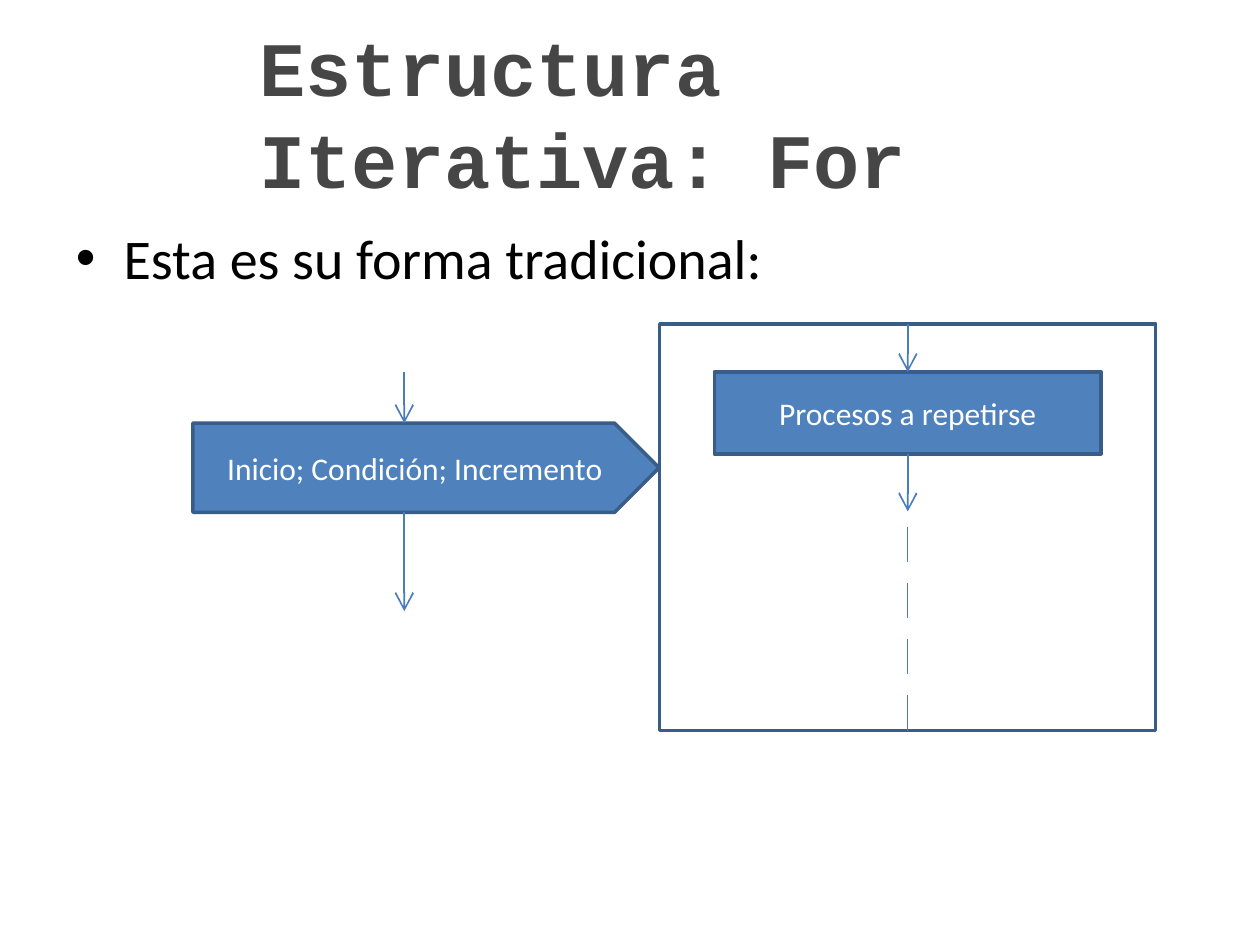
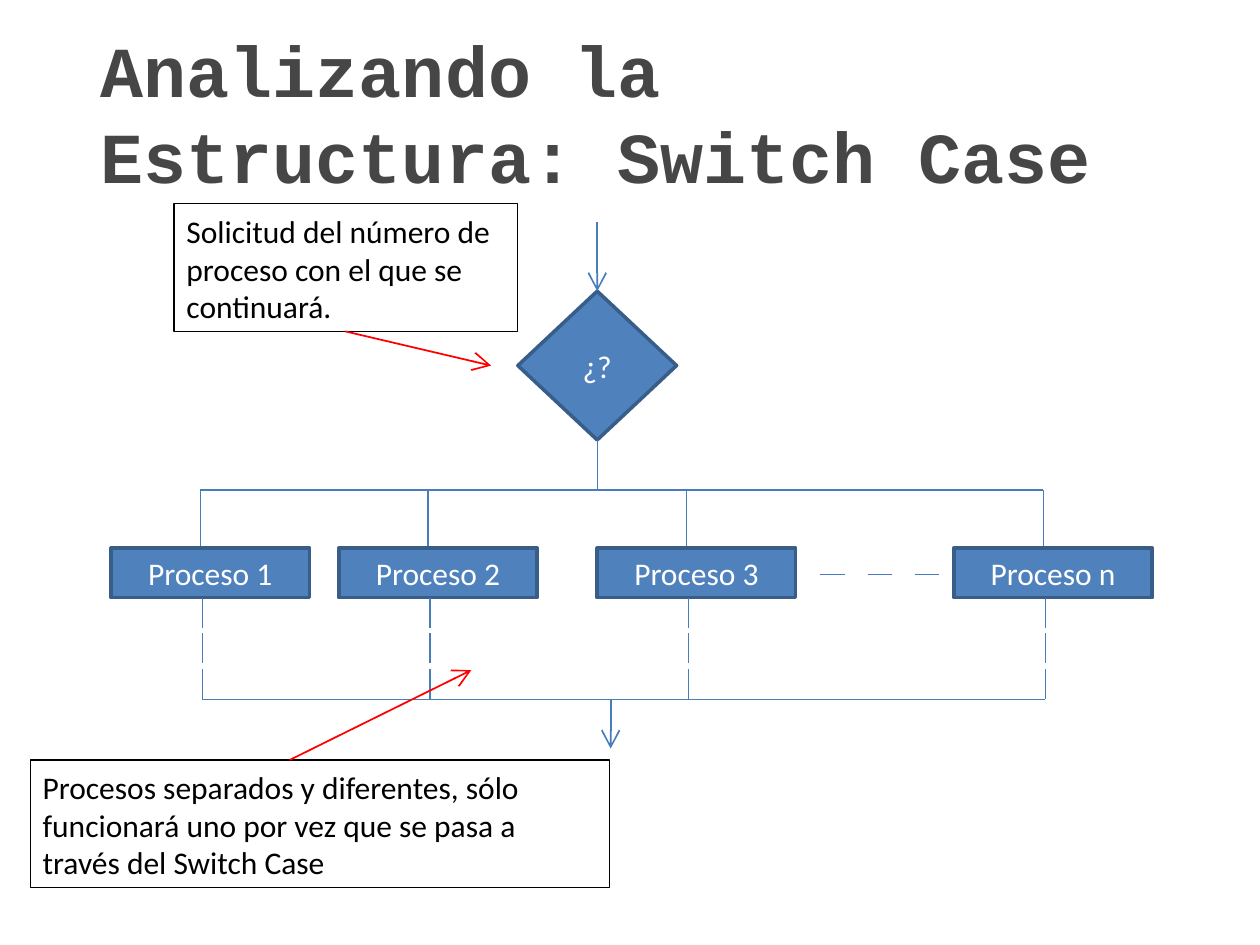
from dataclasses import dataclass

from lxml import etree
from pptx import Presentation
from pptx.dml.color import RGBColor
from pptx.enum.shapes import MSO_CONNECTOR, MSO_SHAPE
from pptx.enum.text import MSO_ANCHOR, MSO_AUTO_SIZE, PP_ALIGN
from pptx.oxml.ns import qn
from pptx.util import Cm, Pt

RECT, PENTAGON, DIAMOND = MSO_SHAPE.RECTANGLE, MSO_SHAPE.PENTAGON, MSO_SHAPE.DIAMOND
STRAIGHT = MSO_CONNECTOR.STRAIGHT
TOP, MIDDLE = MSO_ANCHOR.TOP, MSO_ANCHOR.MIDDLE
LEFT, CENTER = PP_ALIGN.LEFT, PP_ALIGN.CENTER
GROW = MSO_AUTO_SIZE.SHAPE_TO_FIT_TEXT

COLORS = {
    "title": "464646", "text": "000000", "white": "FFFFFF",
    "fill": "4F81BC", "edge": "385D89", "flow": "497DBA", "callout": "FF0000",
}
TITLE_FONT, BODY_FONT = "Courier New", "Calibri"
TITLE_AND_CONTENT, TITLE_ONLY = 1, 5


@dataclass
class Box:
    """A rectangle on the slide, in centimetres."""
    x: float
    y: float
    w: float
    h: float

    @property
    def cx(self) -> float:
        """Horizontal centre."""
        return self.x + self.w / 2

    @property
    def bottom(self) -> float:
        """Lower edge."""
        return self.y + self.h

    def lengths(self) -> list:
        """Left, top, width and height as lengths."""
        return [Cm(v) for v in (self.x, self.y, self.w, self.h)]


@dataclass
class Note:
    """A black-framed remark and the point its red arrow aims at."""
    text: str
    box: Box
    right_inset: float
    start: tuple
    target: tuple


def rgb(name: str) -> RGBColor:
    """Look up a colour of the palette."""
    return RGBColor.from_string(COLORS[name])


def style_paragraph(p, font: str, size: float, color: str, align=LEFT, bold=False) -> None:
    """Set font and alignment of a paragraph."""
    p.alignment = align
    p.font.name, p.font.size, p.font.bold = font, Pt(size), bold
    p.font.color.rgb = rgb(color)


def set_margins(tf, left: float = 0, top: float = 0, right: float = 0) -> None:
    """Set the insets of a text frame; the bottom one is always zero."""
    tf.margin_left, tf.margin_top, tf.margin_right = Cm(left), Cm(top), Cm(right)
    tf.margin_bottom = 0


def fill_placeholder(ph, text: str, box: Box, anchor):
    """Place a template placeholder, fill it and return its paragraph."""
    ph.left, ph.top, ph.width, ph.height = box.lengths()
    tf = ph.text_frame
    tf.text = text
    tf.word_wrap, tf.auto_size, tf.vertical_anchor = True, GROW, anchor
    set_margins(tf, top=0.03)
    p = tf.paragraphs[0]
    p.space_before = Pt(1)
    return p


def add_slide(prs, layout: int, title: str, box: Box, size: float):
    """Add a slide with the shared title style."""
    s = prs.slides.add_slide(prs.slide_layouts[layout])
    p = fill_placeholder(s.shapes.title, title, box, MIDDLE)
    style_paragraph(p, TITLE_FONT, size, "title", bold=True)
    return s


def add_block(s, kind, box: Box, text: str = "", fill: str = "fill",
              edge: str = "edge", width: float = 2):
    """Draw a flowchart shape with centred white text; an empty fill means none."""
    sp = s.shapes.add_shape(kind, *box.lengths())
    sp.shadow.inherit = False
    if fill:
        sp.fill.solid()
        sp.fill.fore_color.rgb = rgb(fill)
    else:
        sp.fill.background()
    sp.line.color.rgb, sp.line.width = rgb(edge), Pt(width)
    if text:
        tf = sp.text_frame
        tf.text, tf.word_wrap, tf.vertical_anchor = text, True, MIDDLE
        set_margins(tf)
        style_paragraph(tf.paragraphs[0], BODY_FONT, 18, "white", CENTER)
    return sp


def add_line(s, start: tuple, end: tuple, color: str = "flow", arrow: bool = False) -> None:
    """Draw a straight line, with an open arrowhead at its end if asked."""
    c = s.shapes.add_connector(STRAIGHT, *(Cm(v) for v in start + end))
    c.line.color.rgb, c.line.width = rgb(color), Pt(1 if arrow else 0.75)
    if arrow:
        etree.SubElement(c.line._get_or_add_ln(), qn("a:tailEnd"),
                         type="arrow", w="lg", len="lg")
    etree.SubElement(c._element.spPr, qn("a:effectLst"))


def add_arrow_down(s, x: float, top: float, bottom: float) -> None:
    """Draw a vertical flow arrow."""
    add_line(s, (x, top), (x, bottom), arrow=True)


def add_dashes(s, x: float, y: float, count: int, pitch: float, length: float,
               vertical: bool = True) -> None:
    """Draw a row of equal dashes as separate lines."""
    for i in range(count):
        if vertical:
            add_line(s, (x, y + i * pitch), (x, y + i * pitch + length))
        else:
            add_line(s, (x + i * pitch, y), (x + i * pitch + length, y))


def add_note(s, note: Note) -> None:
    """Draw a framed remark with its red arrow."""
    sp = add_block(s, RECT, note.box, note.text, fill="", edge="text", width=0.75)
    tf = sp.text_frame
    tf.vertical_anchor = TOP
    set_margins(tf, left=0.25, top=0.16, right=note.right_inset)
    style_paragraph(tf.paragraphs[0], BODY_FONT, 18, "text")
    add_line(s, note.start, note.target, "callout", arrow=True)


def build_for_slide(prs) -> None:
    """Flowchart of the for loop."""
    s = add_slide(prs, TITLE_AND_CONTENT, "Estructura Iterativa: For",
                  Box(5.23, 1.27, 14.94, 1.93), 44)
    p = fill_placeholder(s.placeholders[1], "Esta es su forma tradicional:",
                         Box(1.5, 4.47, 13.89, 1.42), TOP)
    style_paragraph(p, BODY_FONT, 32, "text")
    pPr = p._p.get_or_add_pPr()
    pPr.set("marL", str(Cm(0.99)))
    pPr.set("indent", str(Cm(-0.96)))

    header = Box(3.89, 8.53, 9.4, 1.8)
    frame = Box(13.3, 6.53, 10, 8.2)
    process = Box(14.4, 7.5, 7.8, 1.65)
    add_block(s, PENTAGON, header, "Inicio; Condición; Incremento")
    add_block(s, RECT, frame, fill="")
    add_block(s, RECT, process, "Procesos a repetirse")

    flow_x = 8.15
    add_arrow_down(s, flow_x, process.y, header.y)
    add_arrow_down(s, flow_x, header.bottom, 12.32)
    add_arrow_down(s, frame.cx, frame.y, process.y)
    add_arrow_down(s, frame.cx, process.bottom, 10.31)
    first, dash, count = 10.62, 0.71, 4
    pitch = (frame.bottom - dash - first) / (count - 1)
    add_dashes(s, frame.cx, first, count, pitch, dash)


def build_switch_slide(prs) -> None:
    """Flowchart of the switch case."""
    s = add_slide(prs, TITLE_ONLY, "Analizando la Estructura: Switch Case",
                  Box(2.03, 1.37, 21.34, 1.75), 41)
    decision = Box(10.44, 5.87, 3.2, 3)
    add_block(s, DIAMOND, decision, "¿?")
    add_arrow_down(s, decision.cx, 4.47, decision.y)

    split_y, join_y = 9.88, 14.1
    drop, leave = 1.8, 1.84  # where lines enter and leave, from a box's left edge
    cases = {"1": 2.24, "2": 6.83, "3": 12.04, "n": 19.23}
    first, last = cases["1"], cases["n"]
    add_line(s, (decision.cx, decision.bottom), (decision.cx, split_y))
    add_line(s, (first + drop, split_y), (last + drop, split_y))
    for name, x in cases.items():
        box = Box(x, 11.05, 4, 1)
        add_line(s, (x + drop, split_y), (x + drop, box.y))
        add_block(s, RECT, box, f"Proceso {name}")
        add_dashes(s, x + leave, box.bottom, 3, 0.72, 0.6)
    add_dashes(s, 16.54, 11.58, 3, 0.95, 0.5, vertical=False)
    add_line(s, (first + leave, join_y), (last + leave, join_y))
    add_arrow_down(s, 12.31, join_y, 15.09)

    notes = [
        Note("Solicitud del número de proceso con el que se continuará.",
             Box(3.51, 4.11, 6.93, 2.57), 0, (6.96, 6.68), (9.9, 7.37)),
        Note("Procesos separados y diferentes, sólo funcionará uno por vez "
             "que se pasa a través del Switch Case",
             Box(0.61, 15.32, 11.68, 2.57), 1.3, (5.84, 15.32), (9.5, 13.51)),
    ]
    for note in notes:
        add_note(s, note)


def main() -> None:
    """Build both slides and save them."""
    prs = Presentation()
    prs.slide_width, prs.slide_height = Cm(25.4), Cm(19.05)
    build_for_slide(prs)
    build_switch_slide(prs)
    prs.save("out.pptx")


main()
